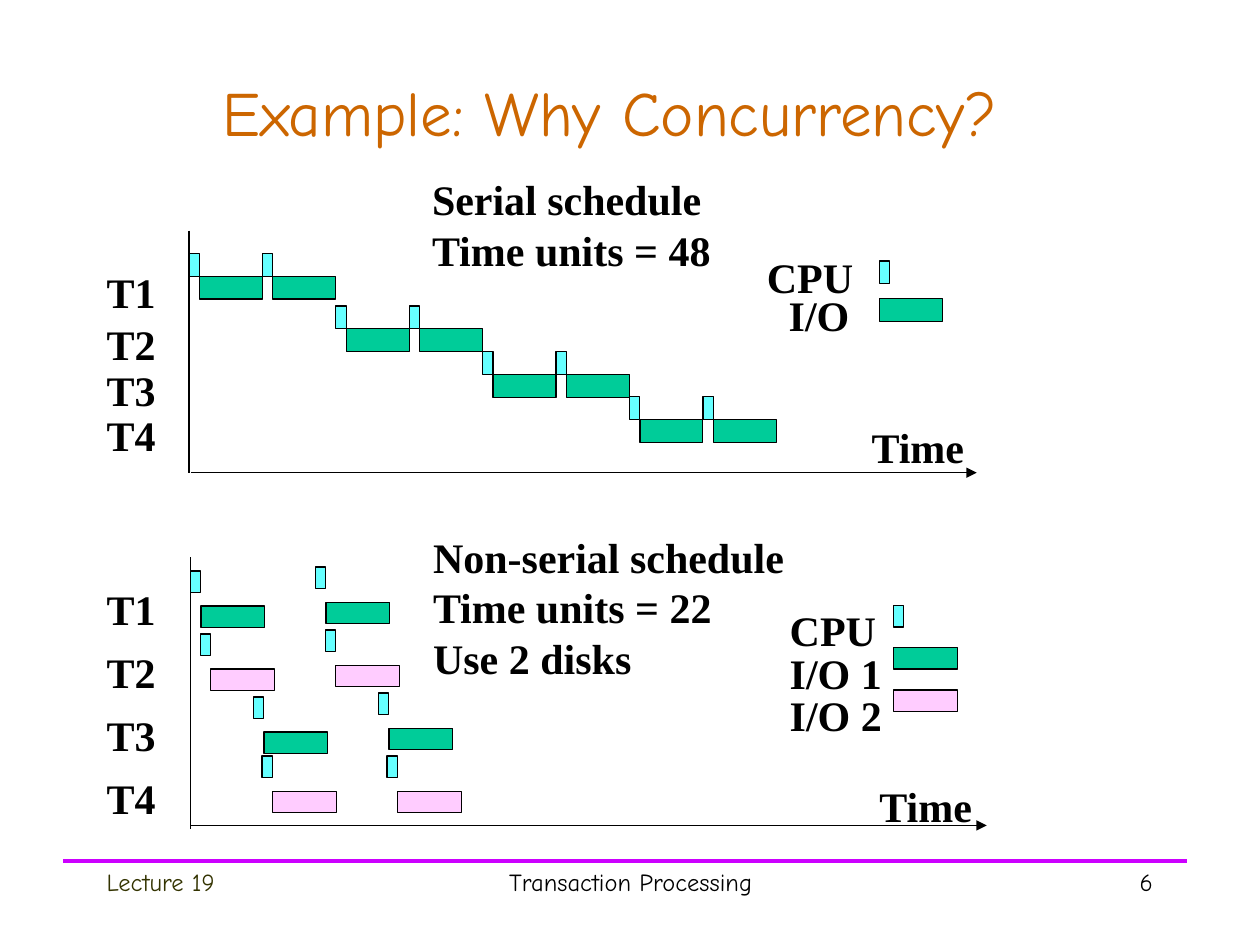
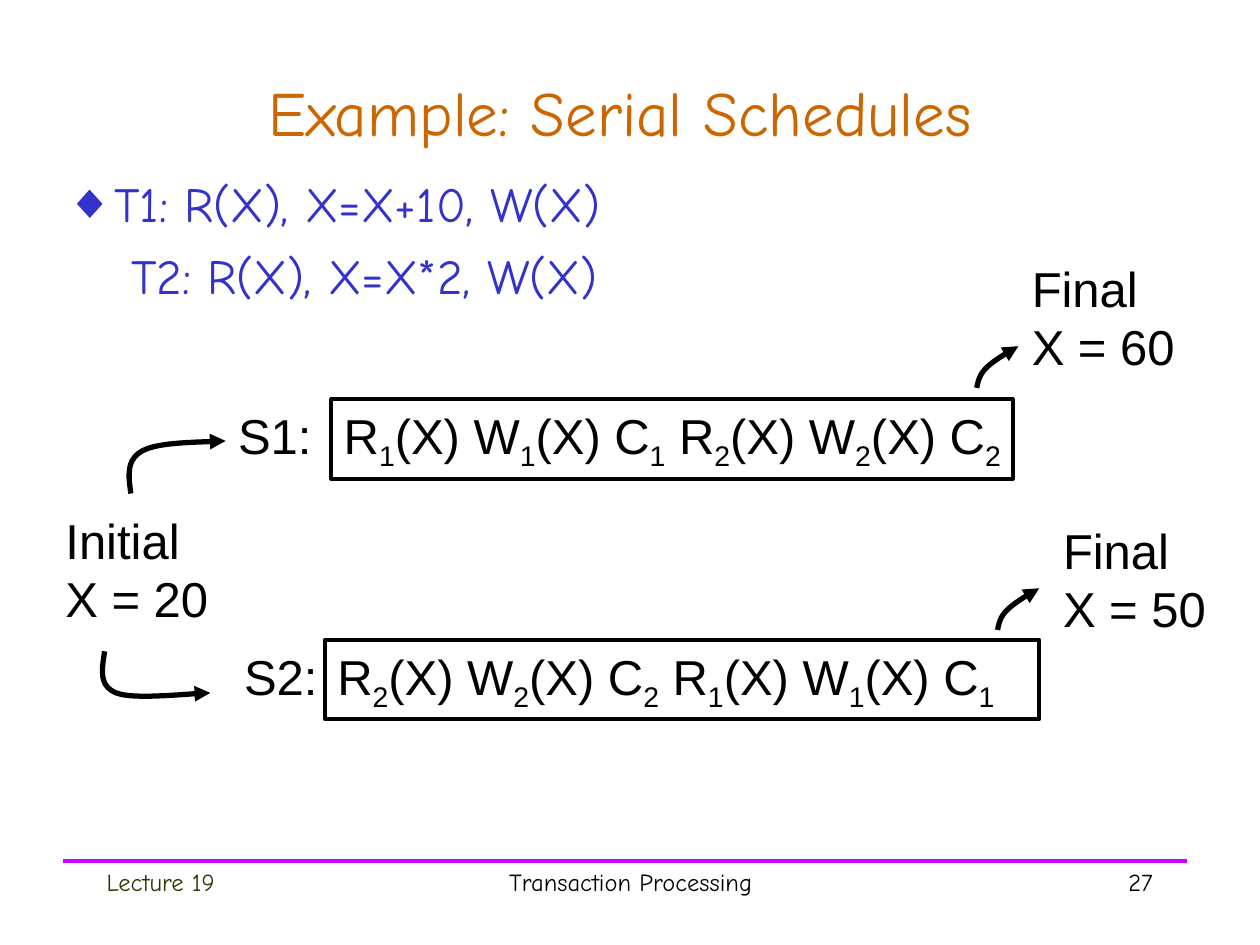
from dataclasses import dataclass

from lxml.etree import SubElement
from pptx import Presentation
from pptx.dml.color import RGBColor
from pptx.enum.shapes import MSO_CONNECTOR as LINE, MSO_SHAPE as SHAPE
from pptx.enum.text import MSO_ANCHOR as ANCHOR, MSO_AUTO_SIZE as AUTOSIZE, PP_ALIGN as ALIGN
from pptx.oxml.ns import qn
from pptx.util import Cm, Pt


@dataclass(frozen=True)
class Theme:
    ink: str = "000000"
    title: str = "CC6600"
    body: str = "3333CC"
    rule: str = "CC00FF"
    lecture: str = "333300"
    cpu: str = "66FFFF"
    disk1: str = "00CC99"
    disk2: str = "FFCCFF"
    hand: str = "Comic Neue"
    serif: str = "Times New Roman"
    sans: str = "Arial"
    title_size: int = 36
    large: int = 28
    label: int = 24
    footer: int = 14


def write(tf, text, font, size, color, bold=False, align=ALIGN.LEFT,
          anchor=ANCHOR.TOP, wrap=True, before=0):
    """Fill a text frame, one paragraph a line; "_" lowers the next character."""
    tf.word_wrap, tf.auto_size, tf.vertical_anchor = wrap, AUTOSIZE.NONE, anchor
    for i, line in enumerate(text.split("\n")):
        p = tf.add_paragraph() if i else tf.paragraphs[0]
        p.alignment = align
        p.space_before = Pt(before if i else 0)
        head, *rest = line.split("_")
        pieces = [(head, False)]
        for part in rest:
            pieces += [(part[0], True), (part[1:], False)]
        for piece, lowered in pieces:
            if not piece:
                continue
            r = p.add_run()
            r.text = piece
            r.font.name, r.font.size, r.font.bold = font, Pt(size), bold
            r.font.color.rgb = RGBColor.from_string(color)
            if lowered:
                r.font._element.set("baseline", "-25000")


class Deck:
    def __init__(self, theme):
        self.t = theme
        self.prs = Presentation()
        self.prs.slide_width, self.prs.slide_height = Cm(25.4), Cm(19.05)
        self.s = None

    def slide(self, title, number, layout):
        """Start a slide with its title, rule and footers."""
        t = self.t
        self.s = self.prs.slides.add_slide(self.prs.slide_layouts[layout])
        sp = self.s.shapes.title
        self.place(sp, 1.07, 1.07, 22.86, 2.34)
        write(sp.text_frame, title, t.hand, t.title_size, t.title,
              align=ALIGN.CENTER, anchor=ANCHOR.MIDDLE)
        self.line(1.27, 17.35, 23.93, 17.35, t.rule, 2.25)
        for x, w, text, color, align in (
                (1.9, 5.28, "Lecture 19", t.lecture, ALIGN.LEFT),
                (8.69, 8.05, "Transaction Processing", t.ink, ALIGN.CENTER),
                (18.21, 5.28, str(number), t.ink, ALIGN.RIGHT)):
            self.text(x, 17.35, w, 1.27, text, font=t.hand, size=t.footer,
                      color=color, align=align, wrap=True)

    def place(self, sp, x, y, w, h):
        sp.left, sp.top, sp.width, sp.height = Cm(x), Cm(y), Cm(w), Cm(h)

    def body(self, text):
        """Fill the list placeholder; only the first line has a bullet."""
        t = self.t
        sp = self.s.placeholders[1]
        self.place(sp, 1.07, 3.38, 23.5, 2.87)
        write(sp.text_frame, text, t.hand, t.large, t.body, before=7)
        for i, p in enumerate(sp.text_frame.paragraphs):
            pPr = p._p.get_or_add_pPr()
            pPr.set("marL", str(Cm(1.32 if i else 0.96)))
            pPr.set("indent", str(Cm(0 if i else -0.96)))
            if i:
                SubElement(pPr, qn("a:buNone"))
            else:
                clr = SubElement(pPr, qn("a:buClr"))
                SubElement(clr, qn("a:srgbClr"), val=t.body)
                SubElement(pPr, qn("a:buChar"), char="◆")

    def text(self, x, y, w, h, text, font, size, color=None, wrap=False, **fmt):
        sp = self.s.shapes.add_textbox(Cm(x), Cm(y), Cm(w), Cm(h))
        write(sp.text_frame, text, font, size, color or self.t.ink, wrap=wrap, **fmt)

    def label(self, x, y, w, text, h=1.27):
        self.text(x, y, w, h, text, self.t.serif, self.t.label, bold=True)

    def note(self, x, y, w, text, h=2.64):
        self.text(x, y, w, h, text, self.t.sans, self.t.large)

    def rect(self, x, y, w, h, fill=None, width=0.75):
        sp = self.s.shapes.add_shape(SHAPE.RECTANGLE, Cm(x), Cm(y), Cm(w), Cm(h))
        sp.shadow.inherit = False
        if fill:
            sp.fill.solid()
            sp.fill.fore_color.rgb = RGBColor.from_string(fill)
        else:
            sp.fill.background()
        self.stroke(sp, self.t.ink, width)
        return sp

    def schedule(self, x, y, w, text, wrap):
        sp = self.rect(x, y, w, 1.6, width=2.25)
        write(sp.text_frame, text, self.t.sans, self.t.large, self.t.ink, wrap=wrap)

    def burst(self, x, y, drop, io_w, h, disk):
        """A CPU slot followed by its I/O slot, the latter `drop` lower."""
        self.rect(x + 0.21, y + drop, io_w, h, disk)
        self.rect(x, y, 0.21, h, self.t.cpu)

    def stroke(self, sp, color, width, arrow=False):
        sp.line.color.rgb = RGBColor.from_string(color)
        sp.line.width = Pt(width)
        if arrow:
            SubElement(sp.line._get_or_add_ln(), qn("a:tailEnd"), type="triangle")

    def line(self, x1, y1, x2, y2, color=None, width=0.75, arrow=False):
        sp = self.s.shapes.add_connector(LINE.STRAIGHT, Cm(x1), Cm(y1), Cm(x2), Cm(y2))
        self.stroke(sp, color or self.t.ink, width, arrow)
        SubElement(sp._element.spPr, qn("a:effectLst"))

    def curve(self, *points, steps=10):
        """An arrow along joined cubic curves: a start, then three points each."""
        path = []
        for i in range(0, len(points) - 1, 3):
            for k in range(1, steps + 1):
                u = k / steps
                weights = ((1 - u) ** 3, 3 * u * (1 - u) ** 2, 3 * u * u * (1 - u), u ** 3)
                path.append(tuple(
                    Cm(sum(c * q[axis] for c, q in zip(weights, points[i:i + 4])))
                    for axis in (0, 1)))
        x, y = points[0]
        fb = self.s.shapes.build_freeform(Cm(x), Cm(y))
        fb.add_line_segments(path, close=False)
        sp = fb.convert_to_shape()
        sp.shadow.inherit = False
        sp.fill.background()
        self.stroke(sp, self.t.ink, 3, arrow=True)


def concurrency_slide(deck):
    t = deck.t
    deck.slide("Example: Why Concurrency? ", 6, layout=5)

    # Serial schedule: two bursts per transaction, one after another
    deck.line(3.81, 4.65, 3.81, 9.53)
    deck.line(3.86, 9.53, 19.69, 9.53, arrow=True)
    for i, y in enumerate((5.11, 6.17, 7.09, 8.0)):
        deck.label(1.9, y + 0.13, 1.5, f"T{i + 1}")
        for k in (2 * i, 2 * i + 1):
            deck.burst(3.81 + 1.48 * k, y, 0.46, 1.27, 0.46, t.disk1)
    deck.label(17.32, 8.38, 2.39, "Time")
    deck.label(8.46, 3.38, 6.15, "Serial schedule\nTime units = 48", h=2.29)
    deck.label(15.21, 4.95, 2.24, "CPU")
    deck.label(15.65, 5.72, 1.73, "I/O")
    deck.rect(17.73, 5.26, 0.21, 0.46, t.cpu)
    deck.rect(17.73, 6.02, 1.27, 0.46, t.disk1)

    # Non-serial schedule: transactions overlap and alternate disks
    deck.line(3.84, 11.23, 3.84, 16.71)
    deck.line(3.84, 16.64, 19.89, 16.64, arrow=True)
    starts = ((3.84, 11.51), (4.04, 12.78), (5.11, 14.05), (5.28, 15.24))
    for i, (x, y) in enumerate(starts):
        disk = (t.disk1, t.disk2)[i % 2]
        deck.label(1.9, 11.63 + 1.27 * i, 1.5, f"T{i + 1}")
        deck.burst(x, y, 0.71, 1.29, 0.43, disk)
        deck.burst(x + 2.52, 11.43 + 1.27 * i, 0.71, 1.29, 0.43, disk)
    deck.label(17.48, 15.6, 2.39, "Time")
    deck.label(8.48, 10.59, 7.57, "Non-serial schedule\nTime units = 22\nUse 2 disks", h=3.3)
    legend = (("CPU", 2.24, 0.21, t.cpu), ("I/O 1", 2.36, 1.29, t.disk1),
              ("I/O 2", 2.36, 1.29, t.disk2))
    for i, (name, w, slot, color) in enumerate(legend):
        deck.label(15.67, 12.07 + 0.85 * i, w, name)
        deck.rect(18.01, 12.21 + 0.85 * i, slot, 0.43, color)


def serial_slide(deck):
    deck.slide("Example: Serial Schedules", 27, layout=1)
    deck.body("T1: R(X), X=X+10, W(X)\nT2: R(X), X=X*2, W(X)")

    # Initial value and the two schedules
    deck.note(1.07, 10.16, 3.38, "Initial\nX = 20")
    deck.note(4.55, 8.05, 1.98, "S1:", h=1.45)
    deck.schedule(6.68, 8.05, 13.74, "R_1(X) W_1(X) C_1 R_2(X) W_2(X) C_2", wrap=False)
    deck.note(4.67, 12.9, 1.98, "S2:", h=1.45)
    deck.schedule(6.55, 12.9, 14.4, "R_2(X) W_2(X) C_2 R_1(X) W_1(X) C_1", wrap=True)

    # Final values
    deck.note(20.55, 5.08, 3.38, "Final\nX = 60")
    deck.note(21.18, 10.36, 3.38, "Final\nX = 50")

    # Arrows from the initial value, then to the final values
    deck.curve((2.64, 9.95), (2.59, 9.6), (2.54, 9.27), (2.87, 9.09),
               (3.18, 8.92), (3.86, 8.92), (4.55, 8.89))
    deck.curve((2.11, 13.13), (2.06, 13.49), (1.98, 13.82), (2.34, 13.97),
               (2.69, 14.12), (3.91, 13.97), (4.24, 13.97))
    for x, y in ((19.69, 7.82), (20.11, 12.7)):
        deck.curve((x, y), (x + 0.03, y - 0.14), (x + 0.06, y - 0.28), (x + 0.21, y - 0.42),
                   (x + 0.36, y - 0.56), (x + 0.6, y - 0.7), (x + 0.84, y - 0.84))


def main():
    deck = Deck(Theme())
    concurrency_slide(deck)
    serial_slide(deck)
    deck.prs.save("out.pptx")


if __name__ == "__main__":
    main()
